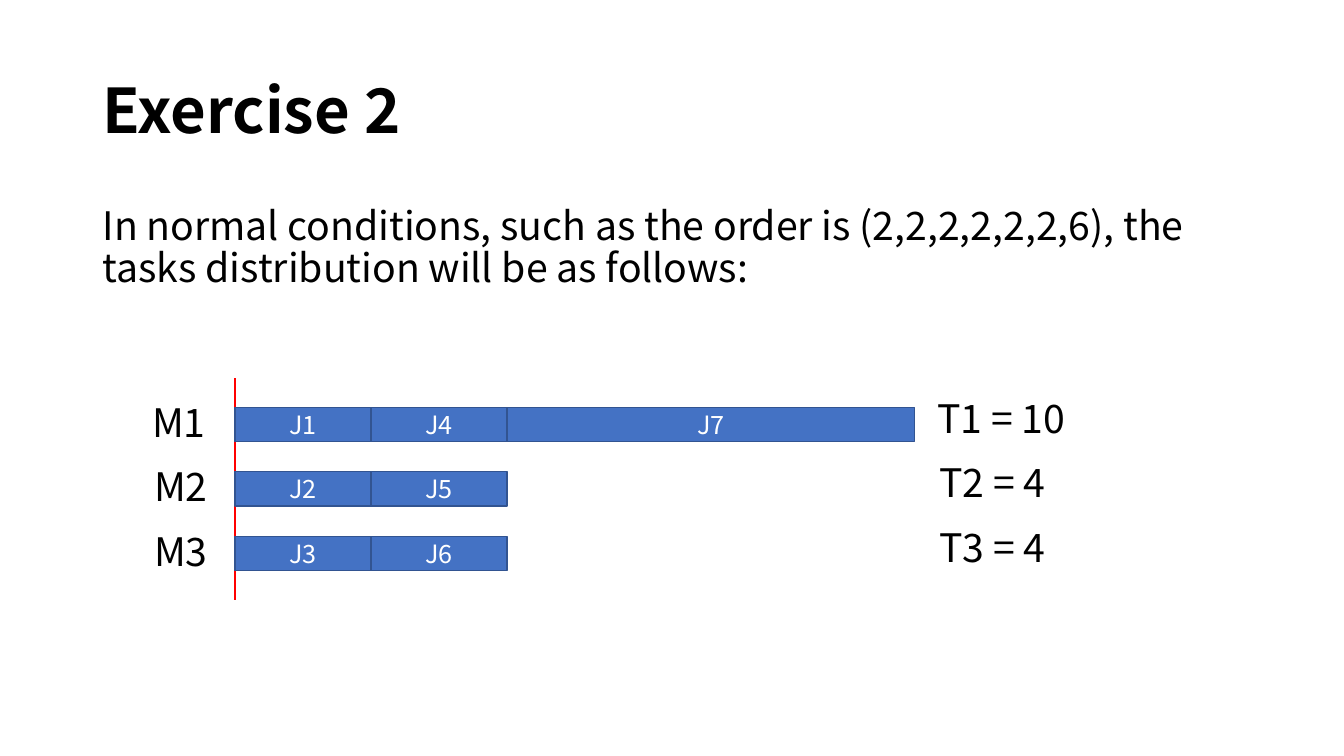
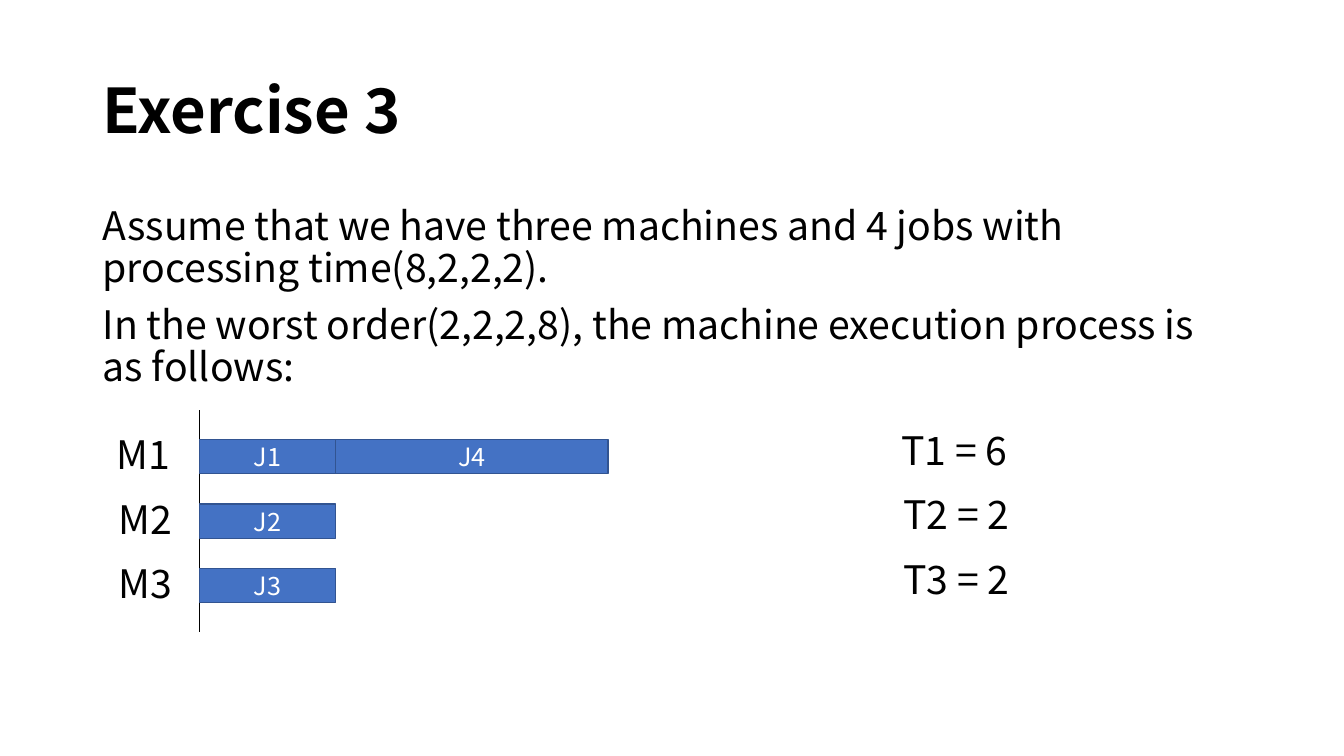
from pptx import Presentation
from pptx.dml.color import RGBColor as Rgb
from pptx.enum.shapes import MSO_CONNECTOR as Conn, MSO_SHAPE as Form
from pptx.enum.text import MSO_ANCHOR as Anchor, PP_ALIGN as Align
from pptx.oxml.ns import qn
from pptx.util import Emu, Pt
from lxml.etree import SubElement

PX = 9144
FONT = "Noto Sans CJK SC"
INK, WHITE, RED, BLUE, NAVY = "000000", "FFFFFF", "FF0000", "4472C4", "325491"
UNIT, BAR, STEP = 67.4, 34, 64


def px(*nums):
    """Turn lengths in px into EMU."""
    return [Emu(round(n) * PX) for n in nums]


def color(code):
    """Return the colour for a hex string."""
    return Rgb.from_string(code)


def style(para, size, code=INK, bold=False):
    """Set the font of every run in a paragraph."""
    for run in para.runs:
        font = run.font
        font.name, font.size, font.bold = FONT, Pt(size), bold
        font.color.rgb = color(code)


def label(slide, box, text, size=28, bold=False, anchor=Anchor.TOP, lead=None, gap=0):
    """Add a text box with one paragraph per line of text."""
    frame = slide.shapes.add_textbox(*px(*box)).text_frame
    frame.word_wrap = True
    frame.vertical_anchor = anchor
    frame.text = text
    for para in frame.paragraphs:
        para.space_before = Pt(gap)
        if lead:
            para.line_spacing = lead
        style(para, size, INK, bold)


def job(slide, box, text):
    """Add one job bar."""
    bar = slide.shapes.add_shape(Form.RECTANGLE, *px(*box))
    bar.shadow.inherit = False
    bar.fill.solid()
    bar.fill.fore_color.rgb = color(BLUE)
    bar.line.color.rgb = color(NAVY)
    bar.line.width = Pt(1)
    frame = bar.text_frame
    frame.text = text
    frame.vertical_anchor = Anchor.MIDDLE
    para = frame.paragraphs[0]
    para.alignment = Align.CENTER
    style(para, 18, WHITE)


def axis(slide, x, y, code, width):
    """Add the upright start line of a schedule."""
    line = slide.shapes.add_connector(Conn.STRAIGHT, *px(x, y, x, y + 220))
    line.line.color.rgb = color(code)
    line.line.width = Pt(width)
    SubElement(line._element.spPr, qn("a:effectLst"))


def chart(slide, x, y, end, rows, code, width):
    """Add a schedule with one row of jobs per machine."""
    axis(slide, x, y, code, width)
    for i, (jobs, total) in enumerate(rows, 1):
        top = y + 29 + (i - 1) * STEP
        inset = 2 if i > 1 else 0
        label(slide, (x - 92 + inset, top - 14, 90, 57), f"M{i}")
        label(slide, (end + inset, top - 18, 220, 57), f"T{i} = {total}")
        left = x
        for name, time in jobs:
            job(slide, (left, top, time * UNIT, BAR), name)
            left += time * UNIT


def page(deck, title, body, height):
    """Add a slide with its title and body text."""
    slide = deck.slides.add_slide(deck.slide_layouts[6])
    label(slide, (92, 40, 1150, 145), title, 44, True, Anchor.MIDDLE, 0.9)
    label(slide, (92, 200, 1147, height), body, lead=0.9, gap=10)
    return slide


def main():
    """Build and save the deck."""
    deck = Presentation()
    deck.slide_width, deck.slide_height = px(1333, 750)

    slide = page(
        deck,
        "Exercise 2",
        "In normal conditions, such as the order is (2,2,2,2,2,2,6), "
        "the tasks distribution will be as follows:",
        122,
    )
    rows = [
        ([("J1", 2), ("J4", 2), ("J7", 6)], 10),
        ([("J2", 2), ("J5", 2)], 4),
        ([("J3", 2), ("J6", 2)], 4),
    ]
    chart(slide, 233, 375, 920, rows, RED, 1)

    slide = page(
        deck,
        "Exercise 3",
        "Assume that we have three machines and 4 jobs with "
        "processing time(8,2,2,2).\n"
        "In the worst order(2,2,2,8), the machine execution process is as follows:",
        222,
    )
    rows = [([("J1", 2), ("J4", 4)], 6), ([("J2", 2)], 2), ([("J3", 2)], 2)]
    chart(slide, 198, 407, 884, rows, INK, 0.5)

    deck.save("out.pptx")


if __name__ == "__main__":
    main()
